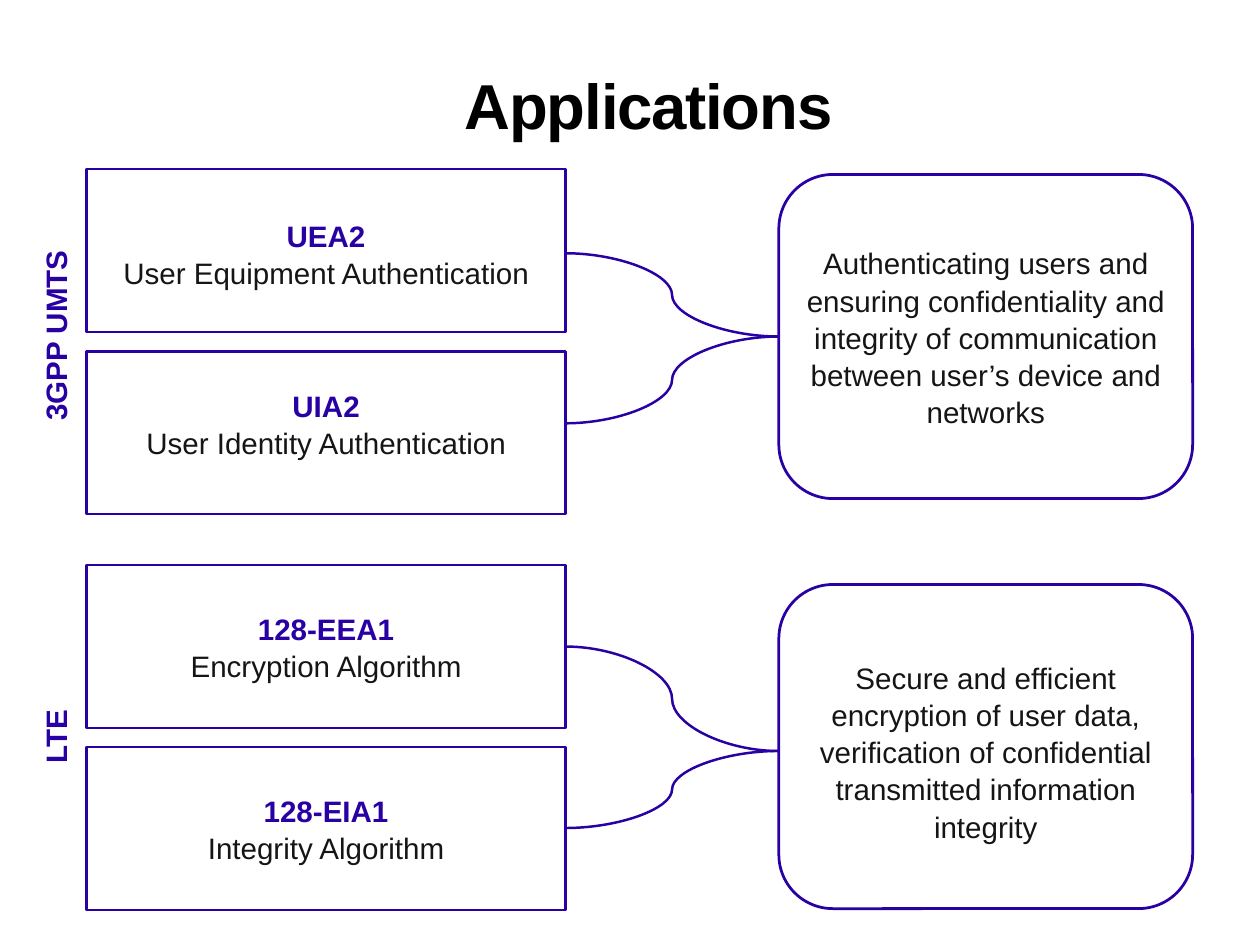
from collections import namedtuple

from lxml.etree import SubElement
from pptx import Presentation
from pptx.dml.color import RGBColor
from pptx.enum.shapes import MSO_CONNECTOR as Link, MSO_SHAPE as Shape
from pptx.enum.text import MSO_ANCHOR as Anchor, MSO_AUTO_SIZE as AutoSize, PP_ALIGN as Align
from pptx.oxml.ns import qn
from pptx.util import Inches, Pt

INDIGO = RGBColor(0x28, 0x00, 0xA3)
INK = RGBColor(0x15, 0x15, 0x15)
BLACK = RGBColor(0, 0, 0)
FONT = "Arial"
INSET = Inches(0.06)

Box = namedtuple("Box", "left top width height")

# Columns of the grid: left edge and width
LABEL_LEFT, LABEL_WIDTH = 0.25, 0.73
CARD_LEFT, CARD_WIDTH = 0.98, 5.4
GOAL_LEFT, GOAL_WIDTH = 8.79, 4.67

# Rows of the grid: heights and step
CARD_HEIGHT, CARD_STEP = 1.84, 2.055
CAPTION_HEIGHT = 0.92
GOAL_HEIGHT, GOAL_TEXT_HEIGHT = 3.66, 2.13

# Tops and the vertical middles of the texts, for each group
GROUPS = [
    dict(
        top=1.91, label="3GPP UMTS", label_middle=3.79, label_height=2.39,
        cards=[("UEA2", "User Equipment Authentication", 2.86),
               ("UIA2", "User Identity Authentication", 4.78)],
        goal="Authenticating users and ensuring confidentiality and integrity of "
             "communication between user’s device and networks",
        goal_top=1.97, goal_middle=3.8,
    ),
    dict(
        top=6.38, label="LTE", label_middle=8.32, label_height=0.87,
        cards=[("128-EEA1", "Encryption Algorithm", 7.3),
               ("128-EIA1", "Integrity Algorithm", 9.35)],
        goal="Secure and efficient encryption of user data, verification of "
             "confidential transmitted information integrity",
        goal_top=6.6, goal_middle=8.48,
    ),
]


def inches(box):
    return [Inches(value) for value in box]


def around(left, middle, width, height):
    """Box centred vertically on the given height."""
    return Box(left, middle - height / 2, width, height)


def write(para, text, size=24, color=INK, bold=False, spacing=1.05):
    para.alignment = Align.CENTER
    para.line_spacing = spacing
    span = para.add_run()
    span.text = text
    span.font.name = FONT
    span.font.size = Pt(size)
    span.font.bold = bold
    span.font.color.rgb = color
    return span


def set_frame(frame, anchor=Anchor.MIDDLE):
    frame.word_wrap = True
    frame.auto_size = AutoSize.NONE
    frame.vertical_anchor = anchor
    frame.margin_left = frame.margin_right = INSET
    frame.margin_top = frame.margin_bottom = INSET


def add_text(page, box, lines, vertical=None):
    """Text box with one paragraph for each (text, format) pair."""
    holder = page.shapes.add_textbox(*inches(box))
    frame = holder.text_frame
    set_frame(frame)
    if vertical:
        frame._txBody.bodyPr.set("vert", vertical)
    for index, (text, style) in enumerate(lines):
        para = frame.add_paragraph() if index else frame.paragraphs[0]
        write(para, text, **style)
    return holder


def add_outline(page, kind, box):
    shape = page.shapes.add_shape(kind, *inches(box))
    shape.shadow.inherit = False
    shape.fill.background()
    shape.line.color.rgb = INDIGO
    shape.line.width = Pt(2.25)


def add_curve(page, source, target):
    curve = page.shapes.add_connector(Link.CURVE, 0, 0, 0, 0)
    curve.begin_connect(source, 3)
    curve.end_connect(target, 1)
    curve.line.color.rgb = INDIGO
    curve.line.width = Pt(2)
    SubElement(curve._element.spPr, qn("a:effectLst"))


def add_title(page, box, text):
    title = page.shapes.title
    title.left, title.top, title.width, title.height = inches(box)
    frame = title.text_frame
    set_frame(frame, Anchor.TOP)
    frame.margin_top = Inches(0.13)
    para = frame.paragraphs[0]
    span = write(para, text, size=51.6, color=BLACK, bold=True, spacing=0.8)
    span.font._element.set("spc", "-100")
    properties = para._p.get_or_add_pPr()
    properties.set("marL", "0")
    properties.set("indent", str(Inches(0.43)))


def add_card(page, box, name, meaning, middle):
    """Framed algorithm name; returns the caption for joining."""
    add_outline(page, Shape.RECTANGLE, box)
    caption = around(box.left, middle, box.width, CAPTION_HEIGHT)
    return add_text(page, caption, [(name, dict(color=INDIGO, bold=True)), (meaning, {})])


def add_goal(page, box, text, middle):
    add_outline(page, Shape.ROUNDED_RECTANGLE, box)
    return add_text(page, around(box.left, middle, box.width, GOAL_TEXT_HEIGHT), [(text, {})])


def add_group(page, group):
    # Side label
    label_box = around(LABEL_LEFT, group["label_middle"], LABEL_WIDTH, group["label_height"])
    add_text(page, label_box, [(group["label"], dict(color=INDIGO, bold=True))], vertical="vert270")

    # Goal on the right, cards on the left, curves between them
    goal_box = Box(GOAL_LEFT, group["goal_top"], GOAL_WIDTH, GOAL_HEIGHT)
    goal = add_goal(page, goal_box, group["goal"], group["goal_middle"])
    for row, card in enumerate(group["cards"]):
        card_box = Box(CARD_LEFT, group["top"] + row * CARD_STEP, CARD_WIDTH, CARD_HEIGHT)
        add_curve(page, add_card(page, card_box, *card), goal)


def main():
    deck = Presentation()
    deck.slide_width, deck.slide_height = Inches(14.22), Inches(10.67)
    page = deck.slides.add_slide(deck.slide_layouts[5])
    add_title(page, Box(0.76, 0.78, 12.69, 1.11), "Applications")
    for group in GROUPS:
        add_group(page, group)
    deck.save("out.pptx")


if __name__ == "__main__":
    main()
